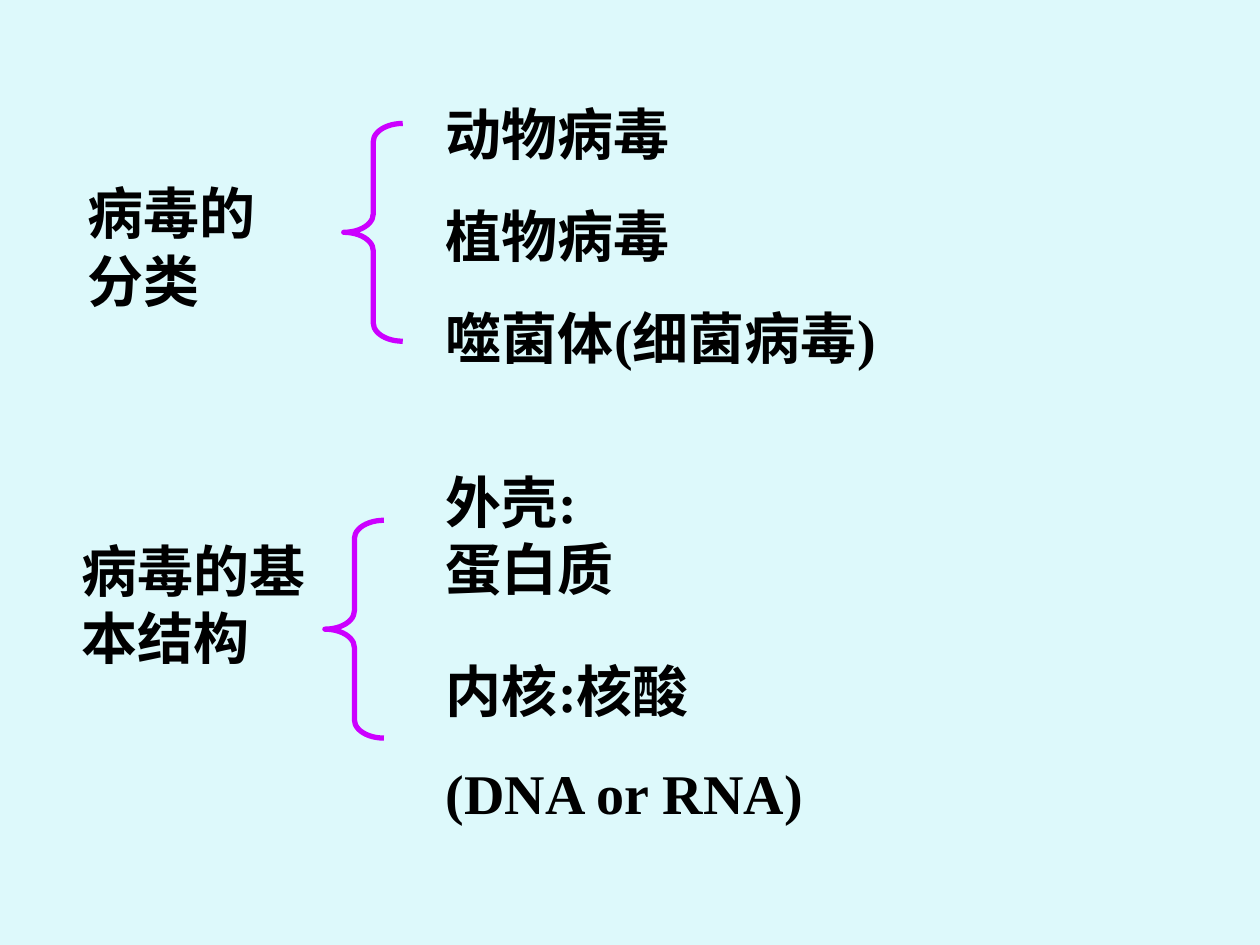
from dataclasses import dataclass

from pptx import Presentation
from pptx.dml.color import RGBColor
from pptx.enum.shapes import MSO_SHAPE
from pptx.enum.text import MSO_AUTO_SIZE
from pptx.util import Cm, Pt

LEFT_BRACE = MSO_SHAPE.LEFT_BRACE
GROW = MSO_AUTO_SIZE.SHAPE_TO_FIT_TEXT


@dataclass(frozen=True)
class Theme:
    background: RGBColor = RGBColor(0xDD, 0xF9, 0xFB)
    text: RGBColor = RGBColor(0, 0, 0)
    brace: RGBColor = RGBColor(0xCC, 0x00, 0xFF)
    font: str = "Times New Roman"
    size: Pt = Pt(32)
    gap: Pt = Pt(20)
    line: Pt = Pt(3)


THEME = Theme()
TEXT_FORMAT = {"name": THEME.font, "size": THEME.size, "bold": True}
BRACE_SIZE = (1.19, 4.39)
LABEL_HEIGHT = 2.97


def add_text(slide, left, top, width, height, lines):
    s = slide.shapes.add_textbox(Cm(left), Cm(top), Cm(width), Cm(height))
    tf = s.text_frame
    tf.word_wrap = True
    tf.auto_size = GROW
    for i, line in enumerate(lines):
        p = tf.add_paragraph() if i else tf.paragraphs[0]
        if i:
            p.space_before = THEME.gap
        r = p.add_run()
        r.text = line
        for name, value in TEXT_FORMAT.items():
            setattr(r.font, name, value)
        r.font.color.rgb = THEME.text


def add_brace(slide, left, top):
    width, height = BRACE_SIZE
    s = slide.shapes.add_shape(LEFT_BRACE, Cm(left), Cm(top), Cm(width), Cm(height))
    s.adjustments[0] = 0.31
    s.shadow.inherit = False
    s.fill.background()
    s.line.color.rgb = THEME.brace
    s.line.width = THEME.line


def add_branch(slide, box, label, brace, items):
    """Place a label, a brace and item texts, all offset from the box corner."""
    left, top = box
    text, x, y, width = label
    add_text(slide, left + x, top + y, width, LABEL_HEIGHT, [text])
    add_brace(slide, left + brace[0], top + brace[1])
    for lines, x, y, width, height in items:
        add_text(slide, left + x, top + y, width, height, lines)


def main():
    prs = Presentation()
    prs.slide_width, prs.slide_height = Cm(25.4), Cm(19.05)
    slide = prs.slides.add_slide(prs.slide_layouts[6])
    fill = slide.background.fill
    fill.solid()
    fill.fore_color.rgb = THEME.background

    add_branch(
        slide, (1.52, 1.88),
        label=("病毒的分类", 0, 1.6, 4.19),
        brace=(5.41, 0.61),
        items=[(["动物病毒", "植物病毒", "噬菌体(细菌病毒)"], 7.22, 0, 9.19, 7.09)],
    )
    add_branch(
        slide, (1.4, 9.3),
        label=("病毒的基本结构", 0, 1.39, 5.41),
        brace=(5.15, 1.19),
        items=[
            (["外壳:蛋白质"], 7.34, 0, 3.99, 2.97),
            (["内核:核酸", "(DNA or RNA)"], 7.34, 3.81, 8.99, 3.68),
        ],
    )
    prs.save("out.pptx")


if __name__ == "__main__":
    main()
